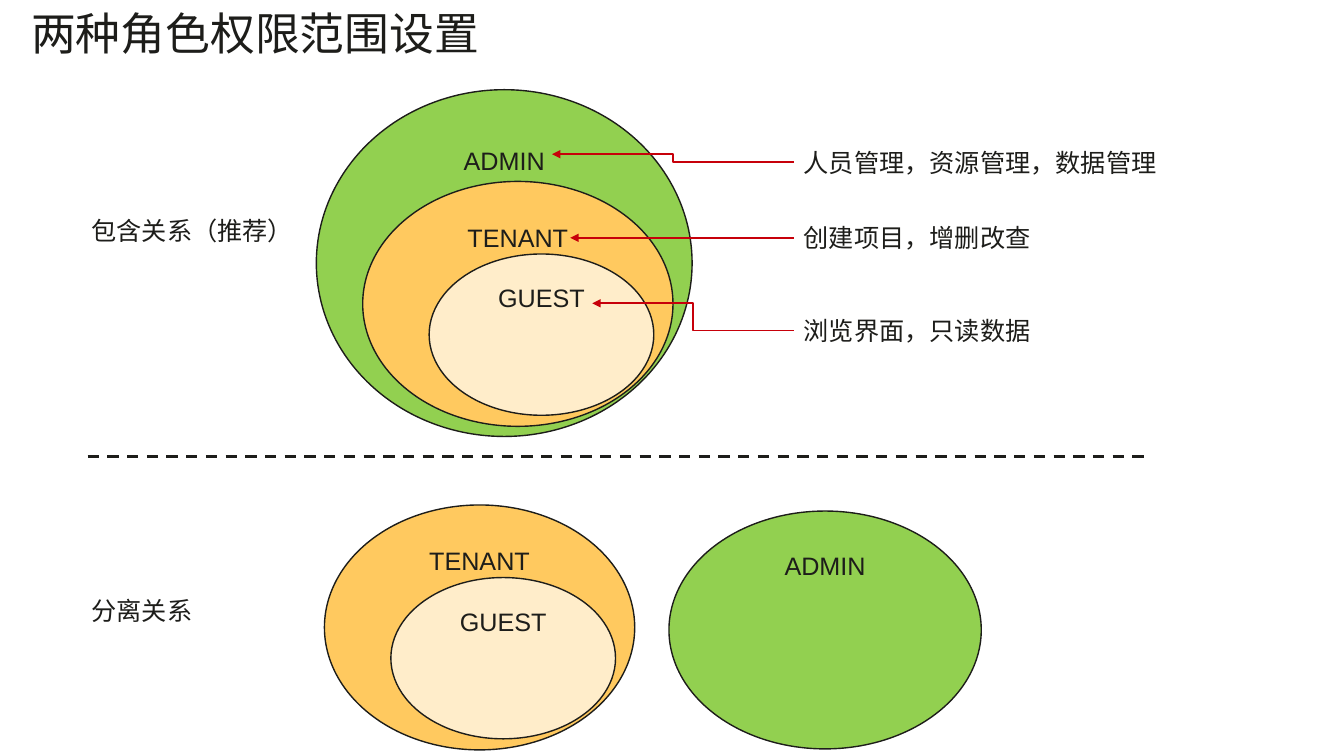
from lxml.etree import SubElement
from pptx import Presentation
from pptx.dml.color import RGBColor
from pptx.enum.dml import MSO_LINE
from pptx.enum.shapes import MSO_CONNECTOR, MSO_SHAPE
from pptx.enum.text import MSO_ANCHOR, MSO_AUTO_SIZE, PP_ALIGN
from pptx.oxml.ns import qn
from pptx.util import Inches, Pt

INK = RGBColor(0x1D, 0x1D, 0x1A)
RED = RGBColor(0xC7, 0x00, 0x0A)
GREEN = RGBColor(0x92, 0xD0, 0x50)
AMBER = RGBColor(0xFF, 0xC9, 0x5F)
CREAM = RGBColor(0xFF, 0xED, 0xCA)
LATIN = "Arial"
HAN = "Noto Sans CJK SC"


def write(frame, text, size=18, face=LATIN, align=PP_ALIGN.LEFT):
    frame.text = text
    par = frame.paragraphs[0]
    par.alignment = align
    font = par.font
    font.size, font.name = Pt(size), face
    font.color.rgb = INK
    props = par._p.pPr.find(qn("a:defRPr"))
    SubElement(props, qn("a:ea"), typeface=HAN)
    return par


def add_title(slide, left, top, width, height):
    title = slide.shapes.title
    title.left, title.top = Inches(left), Inches(top)
    title.width, title.height = Inches(width), Inches(height)
    frame = title.text_frame
    frame.margin_left = frame.margin_right = 0
    frame.margin_top = frame.margin_bottom = 0
    frame.vertical_anchor = MSO_ANCHOR.TOP
    frame.auto_size = MSO_AUTO_SIZE.NONE
    par = write(frame, "两种角色权限范围设置", 32, HAN)
    par.line_spacing = Pt(34.3)


def add_label(slide, text, left, top, width):
    box = slide.shapes.add_textbox(
        Inches(left), Inches(top), Inches(width), Inches(0.4))
    box.text_frame.word_wrap = False
    write(box.text_frame, text)
    return box


def add_role(slide, name, fill, left, top, width, height):
    """Draw a role as an ellipse with its name near the top."""
    oval = slide.shapes.add_shape(
        MSO_SHAPE.OVAL, Inches(left), Inches(top), Inches(width), Inches(height))
    oval.shadow.inherit = False
    oval.fill.solid()
    oval.fill.fore_color.rgb = fill
    oval.line.color.rgb = INK
    oval.line.width = Pt(1)
    oval.text_frame.vertical_anchor = MSO_ANCHOR.TOP
    write(oval.text_frame, name, align=PP_ALIGN.CENTER)


def add_users(slide, left, top):
    """Draw the tenant with the guest inside it."""
    add_role(slide, "TENANT", AMBER, left, top, 3.08, 2.43)
    add_role(slide, "GUEST", CREAM, left + 0.66, top + 0.72, 2.23, 1.6)


def add_line(slide, kind, start, end, color, width):
    line = slide.shapes.add_connector(
        kind, *(Inches(value) for value in (*start, *end)))
    line.line.color.rgb = color
    line.line.width = Pt(width)
    SubElement(line._element.spPr, qn("a:effectLst"))
    return line


def add_note(slide, text, left, top, width, tip):
    """Write what a role may do, with an arrow to the role's name."""
    box = add_label(slide, text, left, top, width)
    arrow = add_line(slide, MSO_CONNECTOR.ELBOW, (left, top + 0.2), tip, RED, 1.25)
    arrow.begin_connect(box, 1)
    SubElement(arrow.line._get_or_add_ln(), qn("a:tailEnd"), type="triangle")


def add_nested(slide, left, top):
    add_label(slide, "包含关系（推荐）", left, top + 1.2, 2.22)
    add_role(slide, "ADMIN", GREEN, left + 2.33, top, 3.73, 3.44)
    add_users(slide, left + 2.79, top + 0.91)
    notes = [
        ("人员管理，资源管理，数据管理", 0.52, 3.74, 4.67, 0.64),
        ("创建项目，增删改查", 1.27, 2.47, 4.85, 1.47),
        ("浏览界面，只读数据", 2.19, 2.47, 5.07, 2.12),
    ]
    for text, down, width, tip_x, tip_y in notes:
        add_note(slide, text, left + 7.07, top + down, width,
                 (left + tip_x, top + tip_y))


def add_split(slide, left, top):
    add_label(slide, "分离关系", left, top + 0.85, 1.21)
    add_role(slide, "ADMIN", GREEN, left + 5.83, top + 0.06, 3.1, 2.36)
    add_users(slide, left + 2.41, top)


def main():
    deck = Presentation()
    deck.slide_width, deck.slide_height = Inches(13.34), Inches(7.5)
    slide = deck.slides.add_slide(deck.slide_layouts[5])
    add_title(slide, 0.31, 0.11, 11.75, 1.09)
    add_nested(slide, 0.81, 0.89)
    rule = add_line(slide, MSO_CONNECTOR.STRAIGHT, (0.87, 4.53), (11.36, 4.53), INK, 2)
    rule.line.dash_style = MSO_LINE.DASH
    add_split(slide, 0.81, 5.01)
    deck.save("out.pptx")


if __name__ == "__main__":
    main()
